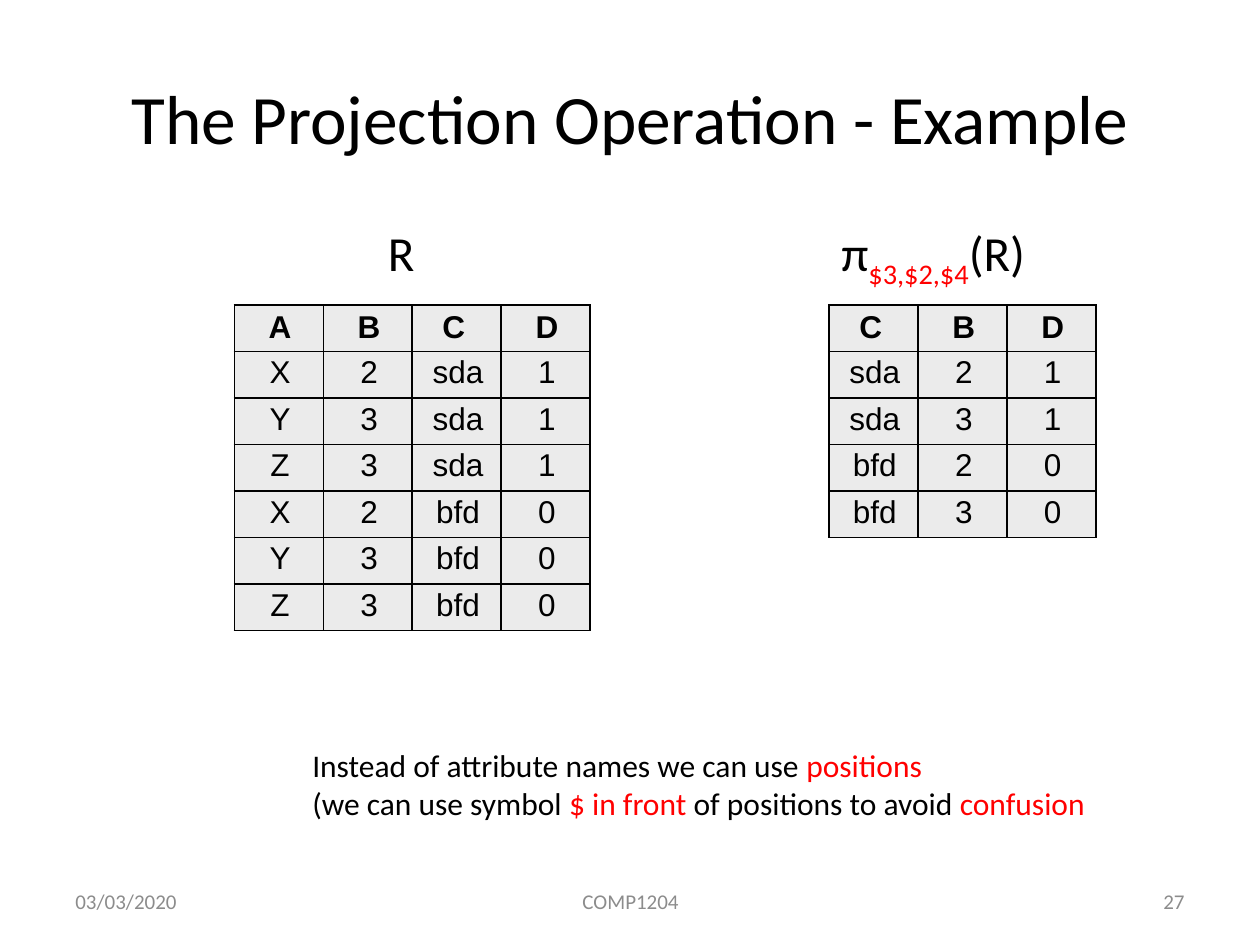
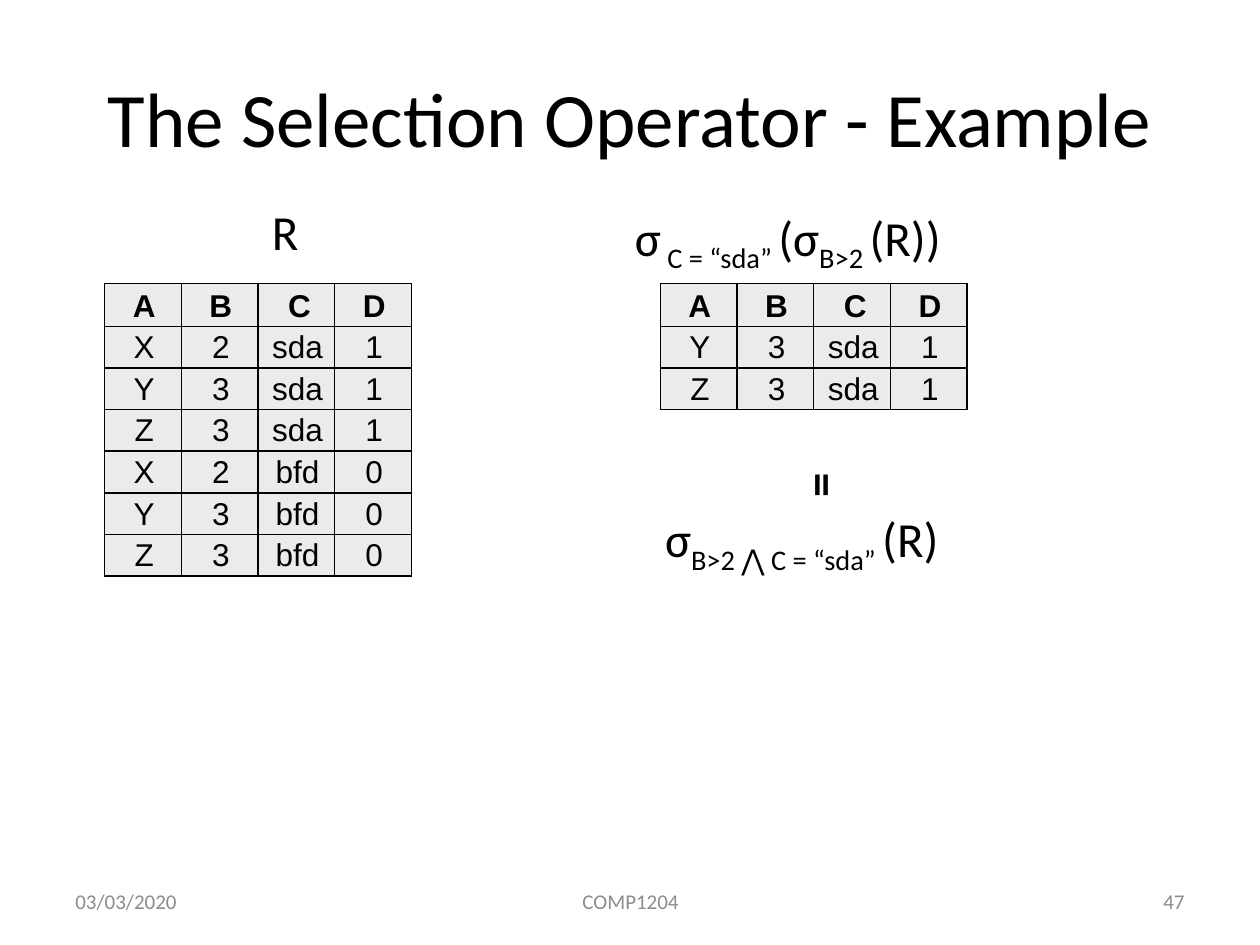
from lxml.etree import SubElement
from pptx import Presentation
from pptx.dml.color import RGBColor
from pptx.enum.text import MSO_ANCHOR, MSO_AUTO_SIZE, PP_ALIGN
from pptx.oxml.ns import qn
from pptx.util import Inches, Pt

SLIDE_WIDTH, SLIDE_HEIGHT = Inches(10), Inches(7.5)
BLACK = RGBColor(0x00, 0x00, 0x00)
RED = RGBColor(0xFF, 0x00, 0x00)
GREY = RGBColor(0x8C, 0x8C, 0x8C)
CELL_FILL = RGBColor(0xEB, 0xEB, 0xEB)
TEXT_FONT, TABLE_FONT = "Calibri", "Arial"
TITLE_ONLY = 5

# Relation R and what the two operators make of it
ATTRIBUTES = ("A", "B", "C", "D")
R_TUPLES = [(a, b, c, d) for c, d in (("sda", "1"), ("bfd", "0"))
            for a, b in (("X", "2"), ("Y", "3"), ("Z", "3"))]
PROJECTED = (2, 1, 3)


def project(row):
    return tuple(row[i] for i in PROJECTED)


def across(percent):
    return round(SLIDE_WIDTH * percent / 100)


def down(percent):
    return round(SLIDE_HEIGHT * percent / 100)


def place(box):
    """Turn left, top, width, height in percent of the slide into lengths."""
    left, top, width, height = box
    return across(left), down(top), across(width), down(height)


def style(paragraph, size, color=BLACK, font=TEXT_FONT, bold=False):
    paragraph.font.name = font
    paragraph.font.size = Pt(size)
    paragraph.font.bold = bold
    paragraph.font.color.rgb = color


def add_title(slide, text, size):
    title = slide.shapes.title
    title.left, title.top, title.width, title.height = place((5, 4, 90, 16.67))
    title.text_frame.text = text
    title.text_frame.vertical_anchor = MSO_ANCHOR.MIDDLE
    paragraph = title.text_frame.paragraphs[0]
    paragraph.alignment = PP_ALIGN.CENTER
    style(paragraph, size)


def add_footer(slide, number):
    parts = ((5, 23.3, "03/03/2020", PP_ALIGN.LEFT),
             (34.2, 31.7, "COMP1204", PP_ALIGN.CENTER),
             (71.7, 23.3, number, PP_ALIGN.RIGHT))
    for left, width, text, alignment in parts:
        frame = slide.shapes.add_textbox(*place((left, 92.67, width, 5.33))).text_frame
        frame.word_wrap = True
        frame.vertical_anchor = MSO_ANCHOR.MIDDLE
        frame.text = text
        frame.paragraphs[0].alignment = alignment
        style(frame.paragraphs[0], 12, GREY)


def add_text(slide, box, lines, size=28, wrap=True, bold=False):
    """Each line is a list of (text, kind); kind may hold 'red' and 'sub'."""
    label = slide.shapes.add_textbox(*place(box))
    frame = label.text_frame
    frame.word_wrap = wrap
    frame.auto_size = MSO_AUTO_SIZE.SHAPE_TO_FIT_TEXT
    for i, line in enumerate(lines):
        paragraph = frame.add_paragraph() if i else frame.paragraphs[0]
        style(paragraph, size, bold=bold)
        for text, kind in line:
            run = paragraph.add_run()
            run.text = text
            if "red" in kind:
                run.font.color.rgb = RED
            if "sub" in kind:
                run._r.get_or_add_rPr().set("baseline", "-25000")
    return label


def add_borders(cell):
    properties = cell._tc.get_or_add_tcPr()
    for side in ("a:lnL", "a:lnR", "a:lnT", "a:lnB"):
        line = SubElement(properties, qn(side), w=str(Pt(1)))
        fill = SubElement(line, qn("a:solidFill"))
        SubElement(fill, qn("a:srgbClr"), val=str(BLACK))


def fill_cell(cell, text, is_header):
    cell.margin_left = cell.margin_right = cell.margin_bottom = 0
    cell.margin_top = Inches(0.04 if is_header else 0.03)
    add_borders(cell)
    cell.fill.solid()
    cell.fill.fore_color.rgb = CELL_FILL
    cell.text = text
    paragraph = cell.text_frame.paragraphs[0]
    style(paragraph, 18, font=TABLE_FONT, bold=is_header)
    paragraph.space_before = Pt(4 if is_header else 3.4)
    indented = is_header and text == "C"
    paragraph.alignment = PP_ALIGN.LEFT if indented else PP_ALIGN.CENTER
    indent = 0.24 if indented else 0.02
    paragraph._p.get_or_add_pPr().set("marL", str(Inches(indent)))


def add_relation(slide, left, top, column, row, header, tuples):
    rows = [header, *tuples]
    box = (left, top, column * len(header), row * len(rows))
    table = slide.shapes.add_table(len(rows), len(header), *place(box)).table
    table.horz_banding = False
    for table_column in table.columns:
        table_column.width = across(column)
    for r, values in enumerate(rows):
        table.rows[r].height = down(row)
        for c, value in enumerate(values):
            fill_cell(table.cell(r, c), value, r == 0)


def add_example(presentation, title, size, number):
    slide = presentation.slides.add_slide(presentation.slide_layouts[TITLE_ONLY])
    add_title(slide, title, size)
    add_footer(slide, number)
    return slide


def build_projection(presentation):
    slide = add_example(presentation, "The Projection Operation - Example", 39.6, "27")
    grid = {"top": 32.27, "column": 7.06, "row": 4.92}
    add_relation(slide, 18.6, header=ATTRIBUTES, tuples=R_TUPLES, **grid)
    # Projection keeps each distinct tuple once
    distinct = dict.fromkeys(project(row) for row in R_TUPLES)
    add_relation(slide, 65.8, header=project(ATTRIBUTES), tuples=distinct, **grid)
    add_text(slide, (29.8, 22.93, 5.8, 7.6), [[("R", "")]])
    add_text(slide, (65.8, 22.93, 18, 7.6),
             [[("π", ""), ("$3,$2,$4", "red sub"), ("(R)", "")]], wrap=False)
    add_text(slide, (23.8, 78.27, 64.1, 9.47),
             [[("Instead of attribute names we can use ", ""), ("positions", "red")],
              [("(we can use symbol ", ""), ("$ in front ", "red"),
               ("of positions to avoid ", ""), ("confusion", "red")]],
             size=18, wrap=False)


def build_selection(presentation):
    slide = add_example(presentation, "The Selection Operator - Example", 44, "47")
    grid = {"top": 30, "column": 6.09, "row": 4.4, "header": ATTRIBUTES}
    add_relation(slide, 8.3, tuples=R_TUPLES, **grid)
    selected = [row for row in R_TUPLES if int(row[1]) > 2 and row[2] == "sda"]
    add_relation(slide, 52.4, tuples=selected, **grid)
    add_text(slide, (20.6, 20.67, 9.9, 7.6), [[("R", "")]])
    # The two equal expressions
    add_text(slide, (49.4, 21.33, 32.8, 7.6),
             [[("σ", ""), (" C = “sda” ", "sub"), ("(σ", ""),
               ("Β>2 ", "sub"), ("(R))", "")]])
    add_text(slide, (51.8, 53.2, 28.1, 7.6),
             [[("σ", ""), ("Β>2 ⋀ C = “sda” ", "sub"), ("(R)", "")]])
    equals = add_text(slide, (62.9, 47.47, 4, 7.6), [[("=", "")]], wrap=False, bold=True)
    equals.rotation = 270


def main():
    presentation = Presentation()
    presentation.slide_width, presentation.slide_height = SLIDE_WIDTH, SLIDE_HEIGHT
    build_projection(presentation)
    build_selection(presentation)
    presentation.save("out.pptx")


if __name__ == "__main__":
    main()
